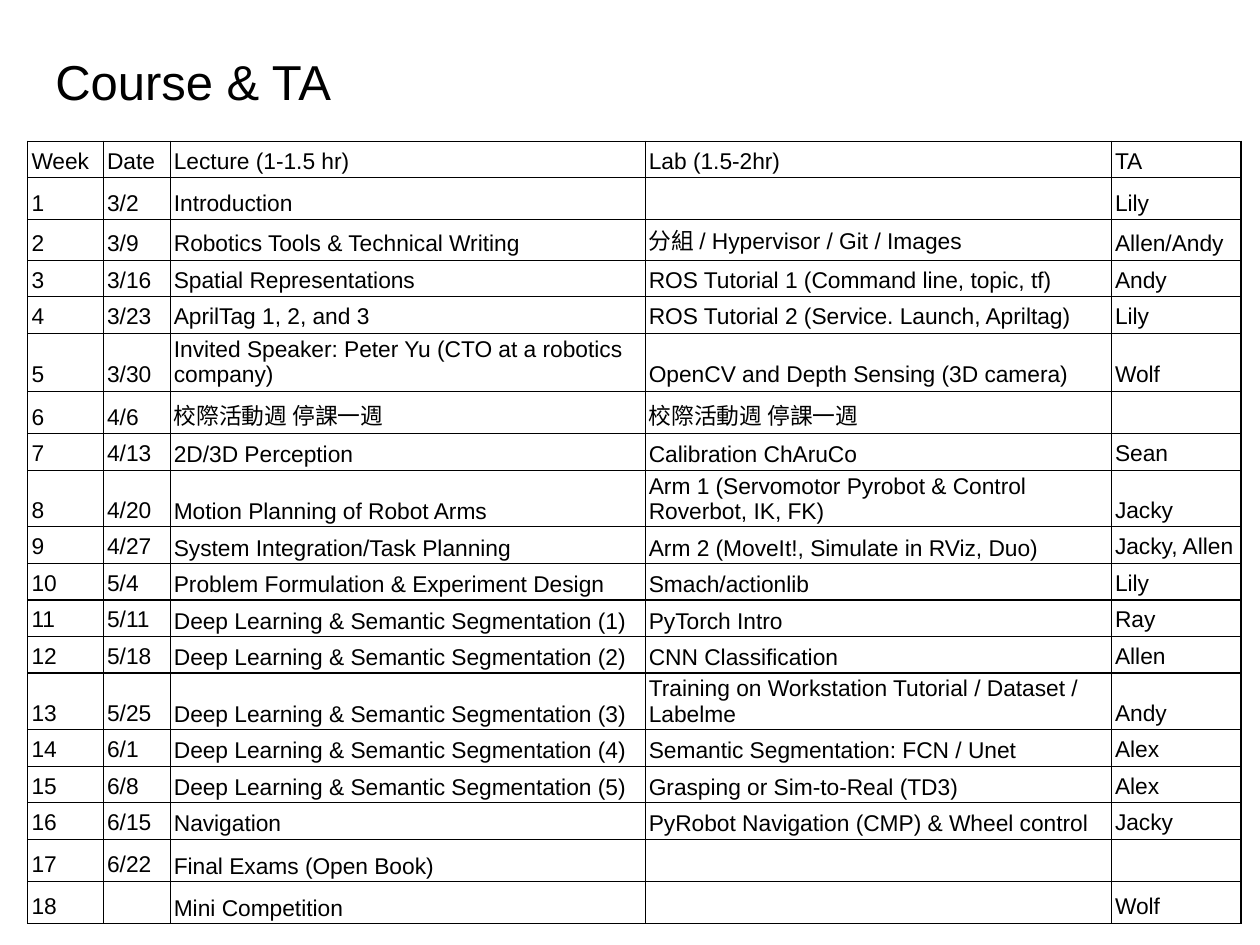
import pptx
import pptx.util
import pptx.dml.color
import pptx.enum.text
import pptx.oxml
import pptx.oxml.ns
from dataclasses import dataclass
from lxml import etree


@dataclass(frozen=True)
class Theme:
    font: str = "Arial"
    ink: str = "000000"
    paper: str = "FFFFFF"
    title_size: int = 28
    cell_size: int = 13
    rule_width: float = 0.75


theme = Theme()
inch = pptx.util.Inches
ink = pptx.dml.color.RGBColor.from_string(theme.ink)


def write(paragraph, words, size):
    run = paragraph.add_run()
    run.text = words
    run.font.name = theme.font
    run.font.size = pptx.util.Pt(size)
    run.font.color.rgb = ink


def rule_cell(cell):
    properties = cell._tc.get_or_add_tcPr()
    for position, side in enumerate(("a:lnL", "a:lnR", "a:lnT", "a:lnB")):
        line = etree.Element(pptx.oxml.ns.qn(side), w=str(pptx.util.Pt(theme.rule_width)))
        fill = etree.SubElement(line, pptx.oxml.ns.qn("a:solidFill"))
        etree.SubElement(fill, pptx.oxml.ns.qn("a:srgbClr"), val=theme.ink)
        properties.insert(position, line)


# Slide
deck = pptx.Presentation()
deck.slide_width, deck.slide_height = inch(10), inch(7.5)
slide = deck.slides.add_slide(deck.slide_layouts[6])
slide.background.fill.solid()
slide.background.fill.fore_color.rgb = pptx.dml.color.RGBColor.from_string(theme.paper)

# Schedule content
segmentation = "Deep Learning & Semantic Segmentation ({})"
holiday = "校際活動週 停課一週"
schedule = [
    ("Week", "Date", "Lecture (1-1.5 hr)", "Lab (1.5-2hr)", "TA"),
    ("1", "3/2", "Introduction", "", "Lily"),
    ("2", "3/9", "Robotics Tools & Technical Writing", "分組 / Hypervisor / Git / Images", "Allen/Andy"),
    ("3", "3/16", "Spatial Representations", "ROS Tutorial 1 (Command line, topic, tf)", "Andy"),
    ("4", "3/23", "AprilTag 1, 2, and 3", "ROS Tutorial 2 (Service. Launch, Apriltag)", "Lily"),
    ("5", "3/30", "Invited Speaker: Peter Yu (CTO at a robotics company)",
     "OpenCV and Depth Sensing (3D camera)", "Wolf"),
    ("6", "4/6", holiday, holiday, ""),
    ("7", "4/13", "2D/3D Perception", "Calibration ChAruCo", "Sean"),
    ("8", "4/20", "Motion Planning of Robot Arms",
     "Arm 1 (Servomotor Pyrobot & Control Roverbot, IK, FK)", "Jacky"),
    ("9", "4/27", "System Integration/Task Planning", "Arm 2 (MoveIt!, Simulate in RViz, Duo)", "Jacky, Allen"),
    ("10", "5/4", "Problem Formulation & Experiment Design", "Smach/actionlib", "Lily"),
    ("11", "5/11", segmentation.format(1), "PyTorch Intro", "Ray"),
    ("12", "5/18", segmentation.format(2), "CNN Classification", "Allen"),
    ("13", "5/25", segmentation.format(3), "Training on Workstation Tutorial / Dataset / Labelme", "Andy"),
    ("14", "6/1", segmentation.format(4), "Semantic Segmentation: FCN / Unet", "Alex"),
    ("15", "6/8", segmentation.format(5), "Grasping or Sim-to-Real (TD3)", "Alex"),
    ("16", "6/15", "Navigation", "PyRobot Navigation (CMP) & Wheel control", "Jacky"),
    ("17", "6/22", "Final Exams (Open Book)", "", ""),
    ("18", "", "Mini Competition", "", "Wolf"),
]

# Grid: weeks with an open cell are taller, two-line weeks taller still
column_widths = (0.6, 0.53, 3.77, 3.7, 1.03)
single_row, open_row, double_row = 0.29, 0.335, 0.45
special_rows = {2: 0.32, 5: double_row, 8: double_row, 13: double_row}
row_heights = [
    special_rows.get(week, single_row if all(entries) else open_row)
    for week, entries in enumerate(schedule)
]

# Schedule table
schedule_frame = slide.shapes.add_table(
    len(schedule), len(column_widths), inch(0.22), inch(1.12),
    inch(sum(column_widths)), inch(sum(row_heights)))
timetable = schedule_frame.table
timetable.first_row = timetable.horz_banding = False
for column, width in zip(timetable.columns, column_widths):
    column.width = inch(width)
for week, entries in enumerate(schedule):
    timetable.rows[week].height = inch(row_heights[week])
    for field, words in enumerate(entries):
        cell = timetable.cell(week, field)
        cell.fill.background()
        cell.vertical_anchor = pptx.enum.text.MSO_ANCHOR.BOTTOM
        cell.margin_left = cell.margin_right = inch(0.03)
        tight = week >= 6 and field in (2, 3)
        cell.margin_top = cell.margin_bottom = inch(0.02 if tight else 0.03)
        rule_cell(cell)
        paragraph = cell.text_frame.paragraphs[0]
        if words:
            write(paragraph, words, theme.cell_size)
        else:
            paragraph.font.size = pptx.util.Pt(theme.cell_size)

# Title
heading = slide.shapes.add_textbox(inch(0.34), inch(0.31), inch(9.32), inch(0.83)).text_frame
heading.word_wrap = True
heading.margin_left = heading.margin_right = inch(0.1)
heading.margin_top = heading.margin_bottom = inch(0.1)
write(heading.paragraphs[0], "Course & TA", theme.title_size)

deck.save("out.pptx")
